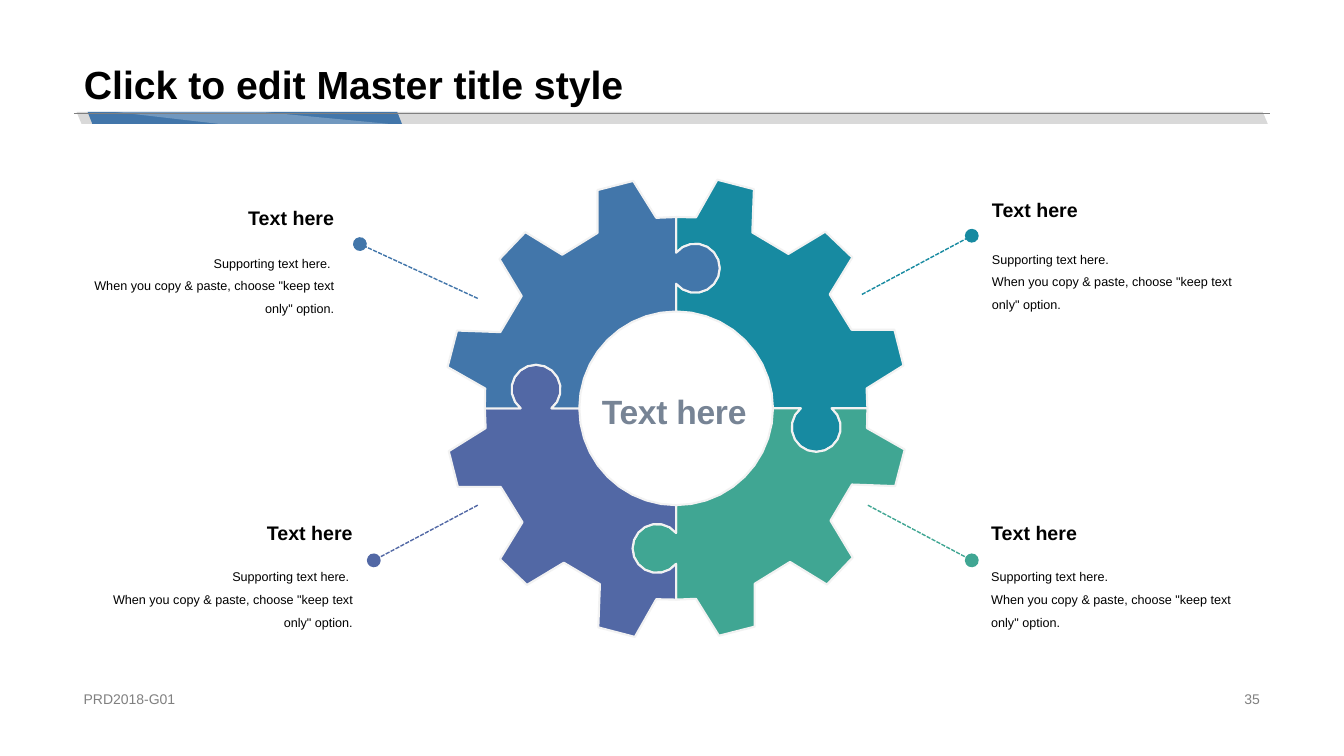
from math import atan2, cos, hypot, pi, sin

from lxml import etree
from pptx import Presentation
from pptx.dml.color import RGBColor as Rgb
from pptx.enum.dml import MSO_LINE as Dash
from pptx.enum.shapes import MSO_CONNECTOR as Link, MSO_SHAPE as Kind
from pptx.enum.text import MSO_ANCHOR as Anchor, PP_ALIGN as Align
from pptx.oxml.ns import qn
from pptx.util import Cm, Pt

HUES = {
    "blue": "4276AA", "teal": "178AA1", "green": "40A693", "purple": "5268A5",
    "black": "000000", "gray": "808080", "slate": "778495",
    "band": "D9D9D9", "edge": "F2F2F2", "white": "FFFFFF",
}


def write(shape, lines, size, hue, bold=False, align=Align.LEFT,
          anchor=Anchor.MIDDLE, space=1.0):
    frame = shape.text_frame
    frame.word_wrap = True
    frame.vertical_anchor = anchor
    frame.text = "\n".join(lines)
    for para in frame.paragraphs:
        para.alignment = align
        para.line_spacing = space
        font = para.font
        font.name, font.size, font.bold = "Arial", Pt(size), bold
        font.color.rgb = Rgb.from_string(HUES[hue])


def sweep(hub, start, end, count, far=False):
    """Points on the arc from start to end; far takes the longer way round."""
    (ax, ay), (bx, by) = [(x - hub[0], y - hub[1]) for x, y in (start, end)]
    first, reach = atan2(ay, ax), hypot(ax, ay)
    turn = (atan2(by, bx) - first + pi) % (2 * pi) - pi
    if far:
        turn -= 2 * pi if turn > 0 else -2 * pi
    return [(hub[0] + reach * cos(first + turn * i / count),
             hub[1] + reach * sin(first + turn * i / count))
            for i in range(count + 1)]


deck = Presentation()
deck.slide_width, deck.slide_height = Cm(33.87), Cm(19.05)
slide = deck.slides.add_slide(deck.slide_layouts[5])
shapes = slide.shapes

# Title
title = shapes.title
title.left, title.top, title.width, title.height = Cm(1.86), Cm(0), Cm(30.15), Cm(2.84)
write(title, ["Click to edit Master title style"], 28, "black", True,
      anchor=Anchor.BOTTOM, space=0.9)

# Bands under the title
for left, width, slant, hue in ((1.93, 30.02, 0.42, "band"), (2.21, 7.92, 0.39, "blue")):
    band = shapes.add_shape(Kind.PARALLELOGRAM, Cm(left), Cm(2.82), Cm(width), Cm(0.3))
    band.adjustments[0] = slant
    band._element.spPr.find(qn("a:xfrm")).set("flipH", "1")
    band.fill.solid()
    band.fill.fore_color.rgb = Rgb.from_string(HUES[hue])
    band.line.fill.background()
    band.shadow.inherit = False

pen = shapes.build_freeform(Cm(9.78), Cm(3.12))
pen.add_line_segments([(Cm(6.6), Cm(2.82)), (Cm(2.9), Cm(2.82)), (Cm(5.49), Cm(3.12))])
shine = pen.convert_to_shape()
shine.fill.solid()
shine.fill.fore_color.rgb = Rgb.from_string(HUES["white"])
tint = shine._element.spPr.find(qn("a:solidFill"))[0]
etree.SubElement(tint, qn("a:alpha")).set("val", "25000")
shine.line.fill.background()
shine.shadow.inherit = False

rule = shapes.add_connector(Link.STRAIGHT, Cm(1.86), Cm(2.85), Cm(32), Cm(2.85))
rule.line.color.rgb = Rgb.from_string(HUES["gray"])
rule.line.width = Pt(0.25)
etree.SubElement(rule._element.spPr, qn("a:effectLst"))

# Footer
for left, width, text, align in ((1.86, 11.5, "PRD2018-G01", Align.LEFT),
                                 (23.92, 8.08, "35", Align.RIGHT)):
    foot = shapes.add_textbox(Cm(left), Cm(17.32), Cm(width), Cm(0.58))
    write(foot, [text], 10, "gray", align=align)

# Gear: one quarter in cm from the hub, turned four times
HUB = (17.04, 10.29)
TEETH = [(0, -4.82), (0.5, -4.81), (1.04, -5.76), (1.96, -5.52), (1.92, -4.43),
         (2.83, -3.89), (3.76, -4.45), (4.44, -3.8), (3.87, -2.87), (4.42, -1.98),
         (5.5, -1.98), (5.73, -1.08), (4.8, -0.5), (4.82, 0)]
seam = sweep((0.48, -3.53), (0, -3.14), (0, -3.92), 14, far=True)
back = [(-y, x) for x, y in reversed(seam)]
piece = seam + TEETH + back + sweep((0, 0), (2.44, 0), (0, -2.44), 10)

for hue in ("teal", "green", "purple", "blue"):
    spots = [(Cm(HUB[0] + x), Cm(HUB[1] + y)) for x, y in piece]
    pen = shapes.build_freeform(*spots[0])
    pen.add_line_segments(spots[1:])
    part = pen.convert_to_shape()
    part.fill.solid()
    part.fill.fore_color.rgb = Rgb.from_string(HUES[hue])
    part.line.color.rgb = Rgb.from_string(HUES["edge"])
    part.line.width = Pt(1.5)
    part.shadow.inherit = False
    piece = [(-y, x) for x, y in piece]

core = shapes.add_textbox(Cm(14.68), Cm(9.73), Cm(4.62), Cm(1.27))
write(core, ["Text here"], 24, "slate", True, Align.CENTER)
core.text_frame.paragraphs[0].runs[0].font._element.set("spc", "-20")

# Callouts: hue, left, top, width, body height, line ends, side
CALLS = [
    ("teal", 24.75, 4.85, 7.29, 2.27, (21.72, 7.42, 24.49, 5.94), Align.LEFT),
    ("green", 24.73, 12.98, 7.29, 2.01, (21.87, 12.73, 24.49, 14.12), Align.LEFT),
    ("purple", 1.86, 12.98, 7.28, 2.01, (12.04, 12.73, 9.42, 14.12), Align.RIGHT),
    ("blue", 1.86, 5.05, 6.81, 2.08, (12.04, 7.52, 9.07, 6.15), Align.RIGHT),
]
for hue, left, top, width, tall, ends, side in CALLS:
    lead = shapes.add_connector(Link.STRAIGHT, *[Cm(n) for n in ends])
    lead.line.color.rgb = Rgb.from_string(HUES[hue])
    lead.line.width = Pt(1)
    lead.line.dash_style = Dash.SQUARE_DOT
    dot = etree.SubElement(lead.line._get_or_add_ln(), qn("a:tailEnd"))
    for key, value in (("type", "oval"), ("w", "lg"), ("len", "lg")):
        dot.set(key, value)
    etree.SubElement(lead._element.spPr, qn("a:effectLst"))

    head = shapes.add_textbox(Cm(left), Cm(top), Cm(width), Cm(0.89))
    write(head, ["Text here"], 14, "black", True, side)
    body = shapes.add_textbox(Cm(left), Cm(top + 1.02), Cm(width), Cm(tall))
    intro = "Supporting text here." + (" " if side == Align.RIGHT else "")
    write(body, [intro, 'When you copy & paste, choose "keep text only" option.'],
          9, "black", align=side, space=1.5)

deck.save("out.pptx")
